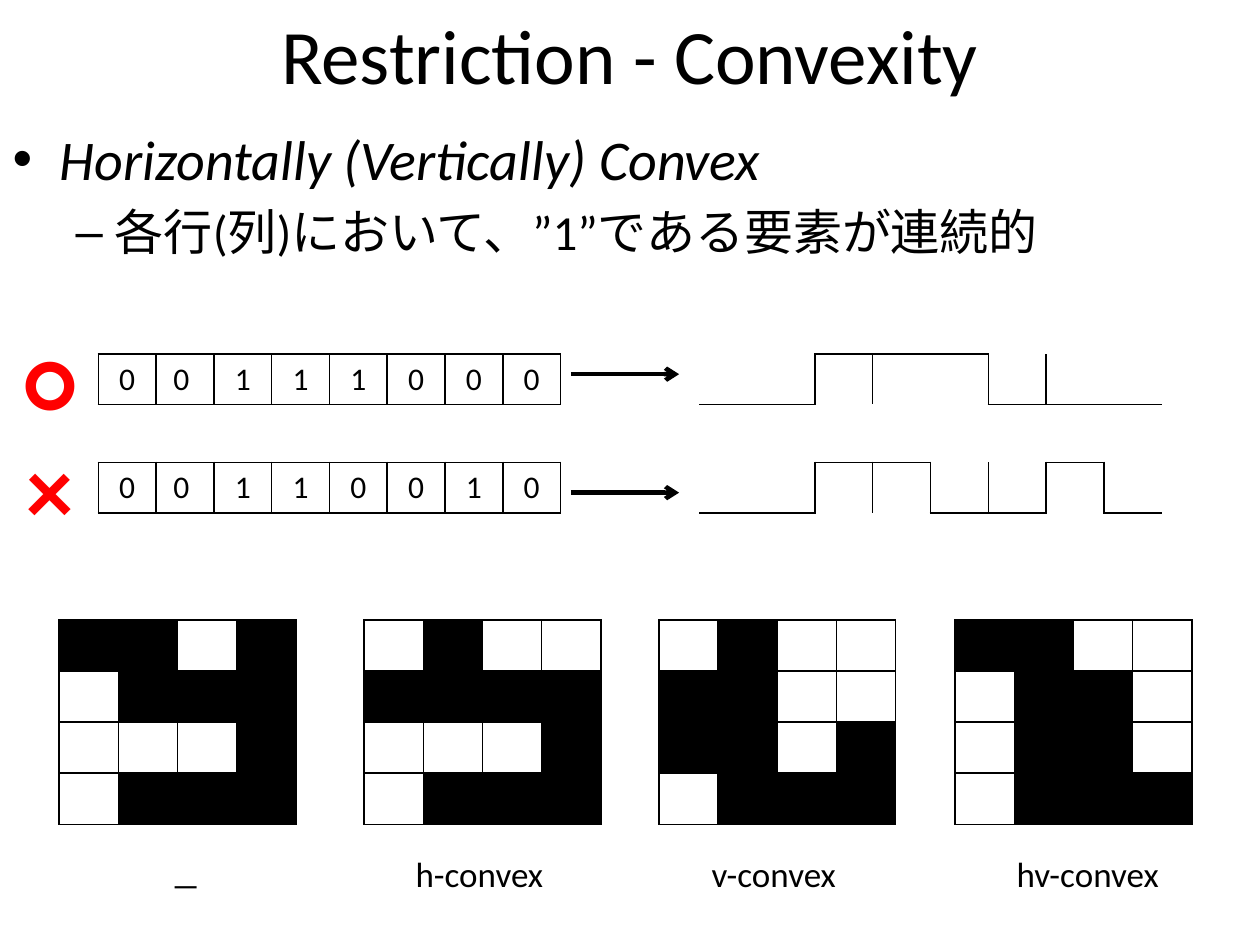
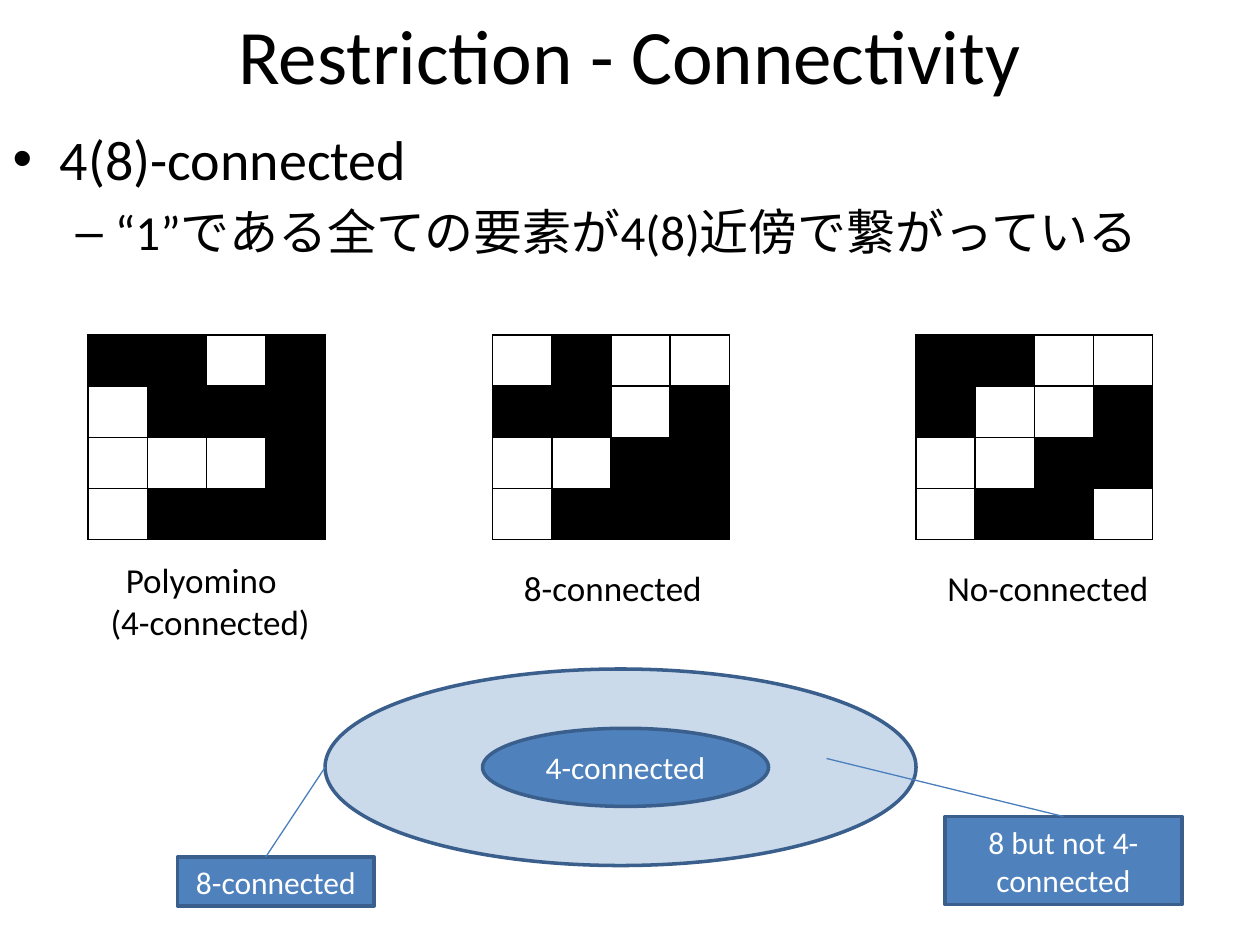
"""Build two slides on convexity and connectivity of binary grids."""
from lxml.etree import SubElement
from pptx import Presentation
from pptx.dml.color import RGBColor
from pptx.enum.shapes import MSO_CONNECTOR, MSO_SHAPE
from pptx.enum.text import MSO_ANCHOR, PP_ALIGN
from pptx.oxml.ns import qn
from pptx.util import Inches, Pt

COLORS = {"ink": "000000", "paper": "FFFFFF", "mark": "FF0000",
          "blue": "4F81BD", "edge": "3A5F8C", "lead": "4B7EBC"}
FONT = "Calibri"
COLS, ROWS = 64, 48
UNIT = 10 / COLS
CELL_H = 2.56
TITLE_BOX = (0, 0, COLS, 5.5)
BODY_BOX = (0, 6, COLS, 40.5)

HOOK = "1101 0111 0001 0111"
CONVEXITY = {
    "title": "Restriction - Convexity",
    "body": [("Horizontally (Vertically) Convex", True),
             ("各行(列)において、”1”である要素が連続的", False)],
    "grid_row": 31.5,
    "grids": [(3, HOOK), (18.5, "0100 1111 0001 0111"),
              (33.5, "0100 1100 1101 0111"), (48.5, "1100 0110 0110 0111")],
    "labels": [((20.5, 43, 8.5, 2.8), [("h-convex", 0)]),
               ((35.5, 43, 8.5, 2.8), [("v-convex", 0)]),
               ((51, 43, 9.5, 2.8), [("hv-convex", 0)]),
               ((8, 43.5, 3.5, 2.8), [("―", 0)])],
}
CONNECTIVITY = {
    "title": "Restriction - Connectivity",
    "body": [("4(8)-connected", False),
             ("“1”である全ての要素が4(8)近傍で繋がっている", False)],
    "grid_row": 17,
    "grids": [(4.5, HOOK), (25, "0100 1101 0011 0111"),
              (46.5, "1100 1001 0011 0110")],
    "labels": [((26, 28.5, 10.5, 2.8), [("8-connected", 0)]),
               ((47.5, 28.5, 11.5, 2.8), [("No-connected", 0)]),
               ((5, 28, 13, 5), [("Polyomino", 0.8), ("(4-connected)", 0)])],
}
SEQUENCES = [
    {"mark": "○", "row": 18, "arrow_row": 19,
     "cells": "0|0 |1|1|1|0|0|0", "bars": {2, 3, 5, 6}},
    {"mark": "×", "row": 23.5, "arrow_row": 25,
     "cells": "0|0 |1|1|0|0|1|0", "bars": {2, 3, 4, 5, 6, 7}},
]
VENN = [
    (MSO_SHAPE.OVAL, (16.5, 34, 30, 10), "", 29),
    (MSO_SHAPE.OVAL, (24.5, 37, 14.5, 4), "4-connected", 100),
    (MSO_SHAPE.RECTANGLE, (9, 43.5, 10, 2.5), "8-connected", 100),
    (MSO_SHAPE.RECTANGLE, (48, 41.5, 12, 4.5), "8 but not 4-connected", 100),
]


def rgb(name):
    return RGBColor.from_string(COLORS[name])


def units(*values):
    return [Inches(round(v * UNIT, 2)) for v in values]


def style(p, size, color="ink", **extra):
    for r in p.runs:
        for key, value in {"size": Pt(size), "name": FONT, **extra}.items():
            setattr(r.font, key, value)
        r.font.color.rgb = rgb(color)


def add_text(s, box, lines, size, color="ink", align=PP_ALIGN.LEFT, wrap=True, **extra):
    sp = s.shapes.add_textbox(*units(*box))
    tf = sp.text_frame
    tf.word_wrap = wrap
    for i, (text, indent) in enumerate(lines):
        p = tf.add_paragraph() if i else tf.paragraphs[0]
        p.text, p.alignment = text, align
        if indent:
            p._p.get_or_add_pPr().set("marL", str(units(indent)[0]))
        style(p, size, color, **extra)
    return sp


def set_borders(cell, sides):
    tcPr = cell._tc.get_or_add_tcPr()
    for side in "LRTB":
        ln = SubElement(tcPr, qn(f"a:ln{side}"), w=str(Pt(1)))
        if side in sides:
            fill = SubElement(ln, qn("a:solidFill"))
            SubElement(fill, qn("a:srgbClr"), val=COLORS["ink"])
        else:
            SubElement(ln, qn("a:noFill"))


def add_cells(s, left, top, width, rows, text=False, bars=None):
    n = len(rows[0])
    box = units(left, top, width, CELL_H * len(rows))
    table = s.shapes.add_table(len(rows), n, *box).table
    table.first_row = table.horz_banding = False
    for r, row in enumerate(rows):
        for c, value in enumerate(row):
            cell = table.cell(r, c)
            sides = "LRTB"
            if bars is not None:
                sides = "T" if value == "1" else "B"
                sides += "L" * (c in bars) + "R" * (c + 1 in bars)
            set_borders(cell, sides)
            filled = value == "1" and not text and bars is None
            cell.fill.solid()
            cell.fill.fore_color.rgb = rgb("ink" if filled else "paper")
            p = cell.text_frame.paragraphs[0]
            p.font.size = Pt(18)
            if text:
                p.text, p.alignment = value, PP_ALIGN.CENTER
                style(p, 18)


def add_line(s, start, end, color, width, arrow=False):
    line = s.shapes.add_connector(MSO_CONNECTOR.STRAIGHT, *units(*start, *end))
    line.line.color.rgb, line.line.width = rgb(color), Pt(width)
    if arrow:
        SubElement(line.line._get_or_add_ln(), qn("a:tailEnd"), type="arrow")
    SubElement(line._element.spPr, qn("a:effectLst"))
    return line


def add_node(s, kind, box, text, opacity):
    sp = s.shapes.add_shape(kind, *units(*box))
    sp.shadow.inherit = False
    sp.fill.solid()
    sp.fill.fore_color.rgb = rgb("blue")
    if opacity < 100:
        color = sp._element.spPr.find(qn("a:solidFill"))[0]
        SubElement(color, qn("a:alpha"), val=str(opacity * 1000))
    sp.line.color.rgb, sp.line.width = rgb("edge"), Pt(2)
    if text:
        tf = sp.text_frame
        tf.word_wrap, tf.vertical_anchor = True, MSO_ANCHOR.MIDDLE
        p = tf.paragraphs[0]
        p.text, p.alignment = text, PP_ALIGN.CENTER
        style(p, 18, "paper")
    return sp


def add_slide(prs, content):
    s = prs.slides.add_slide(prs.slide_layouts[1])
    title, body = s.shapes.title, s.placeholders[1]
    for ph, box in ((title, TITLE_BOX), (body, BODY_BOX)):
        ph.left, ph.top, ph.width, ph.height = units(*box)
    title.text_frame.text = content["title"]
    style(title.text_frame.paragraphs[0], 44)
    tf = body.text_frame
    for level, (text, italic) in enumerate(content["body"]):
        p = tf.add_paragraph() if level else tf.paragraphs[0]
        p.text, p.level = text, level
        style(p, 32 - 4 * level, italic=italic)
        SubElement(p.runs[0]._r.get_or_add_rPr(), qn("a:ea"), typeface=FONT)
    for left, pattern in content["grids"]:
        add_cells(s, left, content["grid_row"], 12, pattern.split())
    for box, lines in content["labels"]:
        add_text(s, box, lines, 20)
    return s


def add_sequences(s):
    for seq in SEQUENCES:
        row, cells = seq["row"], seq["cells"].split("|")
        mark = add_text(s, (0.5, row - 2, 4.1, 6.46), [(seq["mark"], 0)], 54,
                        "mark", PP_ALIGN.CENTER, wrap=False, bold=True)
        mark.fill.solid()
        mark.fill.fore_color.rgb = rgb("paper")
        add_cells(s, 5, row, 23.5, [cells], text=True)
        add_cells(s, 35.5, row, 23.5, [cells], bars=seq["bars"])
        y = seq["arrow_row"]
        add_line(s, (29, y), (34.5, y), "ink", 2.5, arrow=True)


def add_venn(s):
    nodes = [add_node(s, *node) for node in VENN]
    add_line(s, (16.5, 39), (13.5, 43.5), "lead", 0.75)
    add_line(s, (42, 38.5), (54, 41.5), "lead", 0.75).end_connect(nodes[-1], 0)


def main():
    prs = Presentation()
    prs.slide_width, prs.slide_height = units(COLS, ROWS)
    add_sequences(add_slide(prs, CONVEXITY))
    add_venn(add_slide(prs, CONNECTIVITY))
    prs.save("out.pptx")


if __name__ == "__main__":
    main()
